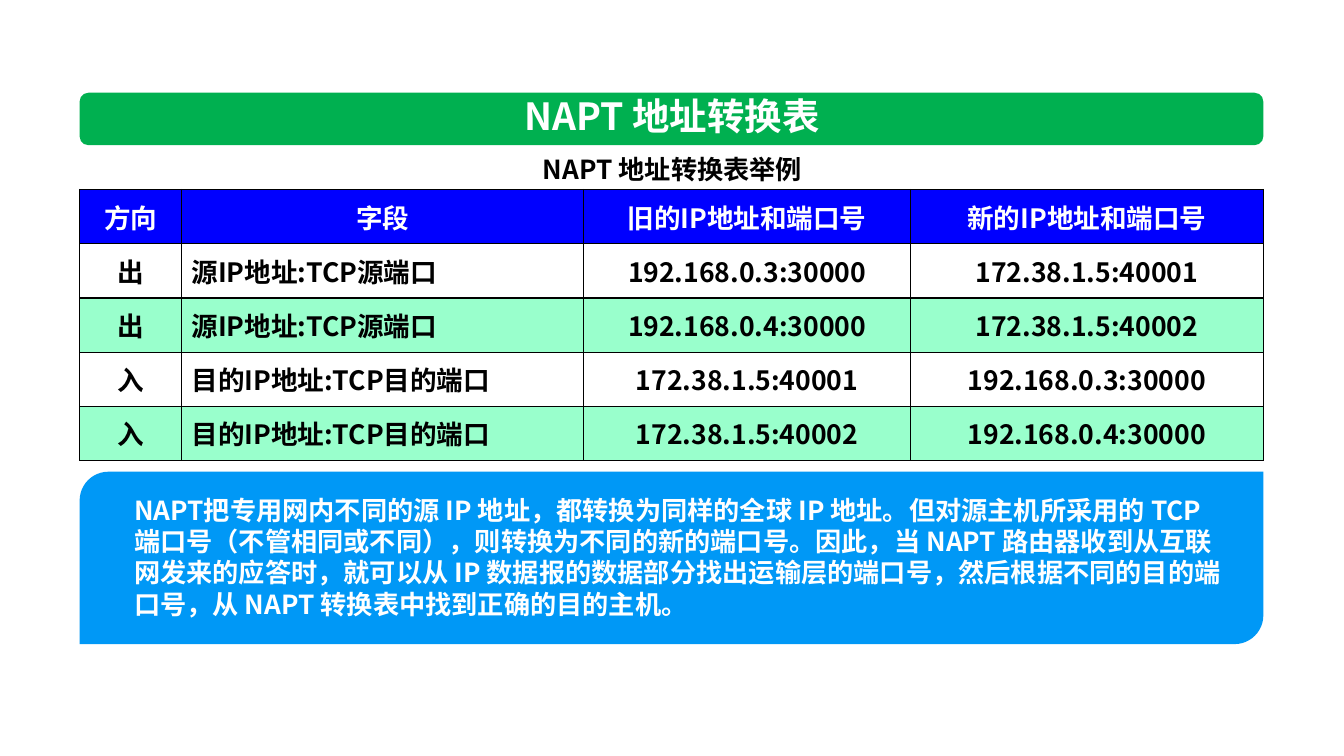
from lxml import etree
from pptx import Presentation
from pptx import util as u
from pptx.dml.color import RGBColor
from pptx.enum import shapes, text
from pptx.oxml import ns

PX = 9144  # EMU per px, 100 px to the inch
WHITE, BLACK = "FFFFFF", "000000"
CENTER, LEFT = text.PP_ALIGN.CENTER, text.PP_ALIGN.LEFT


def px(*lengths):
    return [u.Emu(length * PX) for length in lengths]


def color(hex_string):
    return RGBColor.from_string(hex_string)


class SlideBuilder:
    font = "Noto Sans CJK SC"

    def __init__(self, deck):
        self.slide = deck.slides.add_slide(deck.slide_layouts[1])

    def add_wording(self, frame, wording, size, ink, align):
        paragraph = frame.paragraphs[0]
        paragraph.alignment = align
        paragraph.space_before = u.Pt(0)
        run = paragraph.add_run()
        run.text = wording
        run.font.name, run.font.size, run.font.bold = self.font, u.Pt(size), True
        run.font.color.rgb = color(ink)
        properties = run.font._element
        properties.set("lang", "zh-CN")
        etree.SubElement(properties, ns.qn("a:ea"), typeface=self.font)
        return paragraph

    def panel(self, preset, box, fill):
        panel = self.slide.shapes.add_shape(preset, *px(*box))
        panel.shadow.inherit = False
        panel.fill.solid()
        panel.fill.fore_color.rgb = color(fill)
        panel.line.fill.background()

    def placeholder(self, holder, box, wording, size, ink, align):
        holder.left, holder.top, holder.width, holder.height = px(*box)
        holder.element.getparent().append(holder.element)  # bring to front
        frame = holder.text_frame
        frame.word_wrap = True
        frame.auto_size = text.MSO_AUTO_SIZE.NONE
        frame.vertical_anchor = text.MSO_ANCHOR.TOP
        paragraph = self.add_wording(frame, wording, size, ink, align)
        # Plain paragraph: no bullet, no indent
        properties = paragraph._p.get_or_add_pPr()
        properties.set("marL", "0")
        properties.set("indent", "0")
        etree.SubElement(properties, ns.qn("a:buNone"))

    def label(self, box, wording, size, ink):
        frame = self.slide.shapes.add_textbox(*px(*box)).text_frame
        frame.word_wrap = False
        self.add_wording(frame, wording, size, ink, CENTER)

    def border(self, cell):
        properties = cell._tc.get_or_add_tcPr()
        for place, side in enumerate(("lnL", "lnR", "lnT", "lnB")):
            line = etree.Element(ns.qn(f"a:{side}"), w=str(u.Pt(1)))
            solid = etree.SubElement(line, ns.qn("a:solidFill"))
            etree.SubElement(solid, ns.qn("a:srgbClr"), val=BLACK)
            properties.insert(place, line)

    def table(self, box, widths, rows, size, header_fill, band_fill):
        grid = self.slide.shapes.add_table(len(rows), len(widths), *px(*box)).table
        grid.horz_banding = False
        for column, width in zip(grid.columns, px(*widths)):
            column.width = width
        for r, row in enumerate(rows):
            fill = header_fill if r == 0 else (band_fill, WHITE)[r % 2]
            for c, wording in enumerate(row):
                cell = grid.cell(r, c)
                cell.margin_top = cell.margin_bottom = 0
                cell.vertical_anchor = text.MSO_ANCHOR.MIDDLE
                cell.fill.solid()
                cell.fill.fore_color.rgb = color(fill)
                self.border(cell)
                self.add_wording(cell.text_frame, wording, size,
                                 WHITE if r == 0 else BLACK,
                                 LEFT if r and c == 1 else CENTER)


def main():
    deck = Presentation()
    deck.slide_width, deck.slide_height = px(1333, 750)
    page = SlideBuilder(deck)
    heading, explanation = page.slide.placeholders

    # Heading bar and caption
    page.panel(shapes.MSO_SHAPE.ROUNDED_RECTANGLE, (79, 92, 1174, 52), "00B050")
    page.placeholder(heading, (283, 87, 767, 55), "NAPT 地址转换表", 26.7, WHITE, CENTER)
    page.label((524, 147, 286, 42), "NAPT 地址转换表举例", 18.7, BLACK)

    # Translation table: outgoing source, incoming destination
    source, destination = "源IP地址:TCP源端口", "目的IP地址:TCP目的端口"
    private = ("192.168.0.3:30000", "192.168.0.4:30000")
    public = ("172.38.1.5:40001", "172.38.1.5:40002")
    rows = [("方向", "字段", "旧的IP地址和端口号", "新的IP地址和端口号")]
    rows += [("出", source, old, new) for old, new in zip(private, public)]
    rows += [("入", destination, old, new) for old, new in zip(public, private)]
    page.table((79, 188, 1174, 269), (101, 399, 324, 350), rows, 19, "0000FF", "99FFCC")

    # Explanation
    page.panel(shapes.MSO_SHAPE.ROUND_2_DIAG_RECTANGLE, (79, 468, 1174, 171), "0098F6")
    page.placeholder(
        explanation, (123, 485, 1108, 136),
        "NAPT把专用网内不同的源 IP 地址，都转换为同样的全球 IP 地址。"
        "但对源主机所采用的 TCP 端口号（不管相同或不同），则转换为不同的新的端口号。"
        "因此，当 NAPT 路由器收到从互联网发来的应答时，"
        "就可以从 IP 数据报的数据部分找出运输层的端口号，"
        "然后根据不同的目的端口号，从 NAPT 转换表中找到正确的目的主机。",
        18.7, WHITE, LEFT)

    deck.save("out.pptx")


if __name__ == "__main__":
    main()
